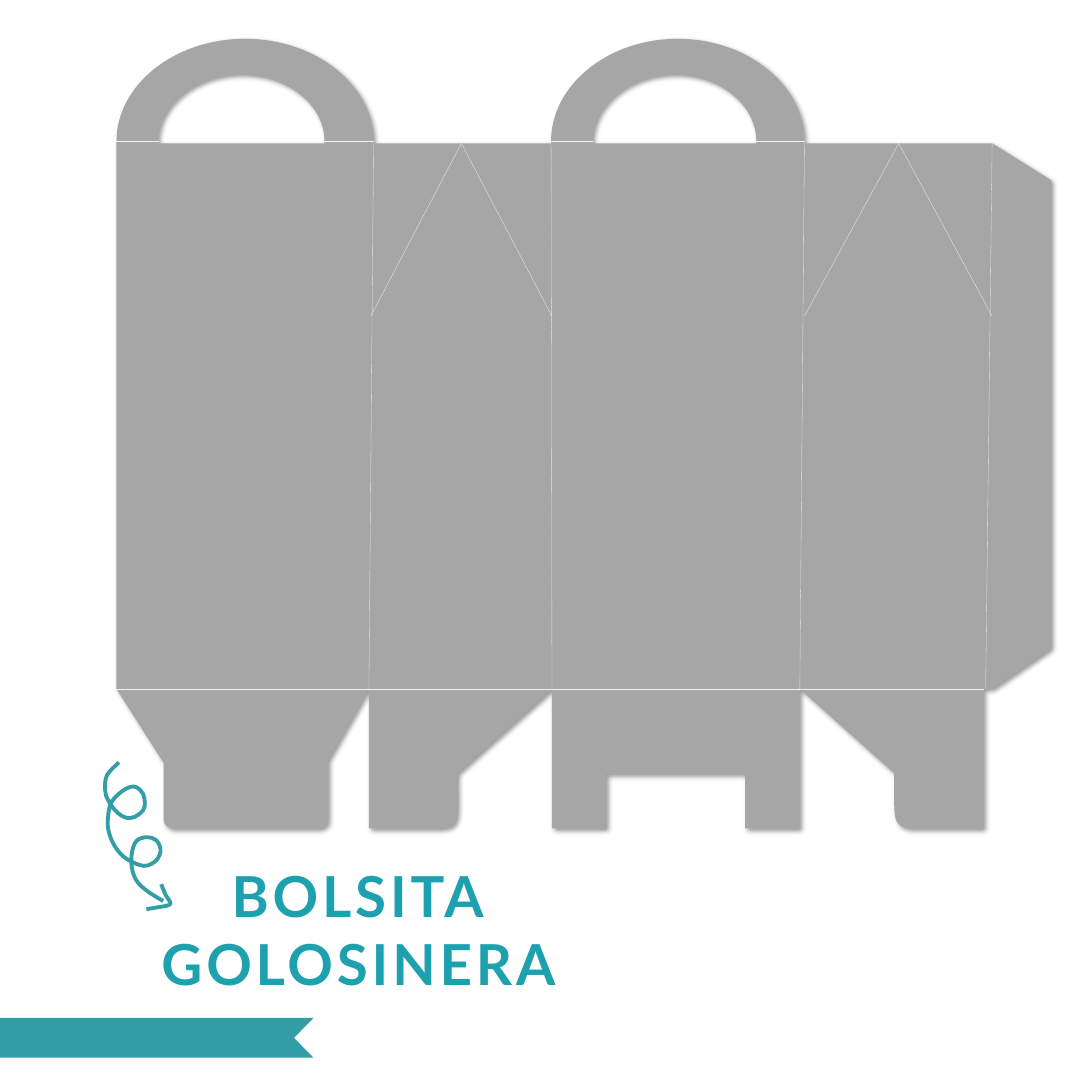
from dataclasses import dataclass
from math import cos, radians, sin

from pptx import Presentation
from pptx import util as u
from pptx.dml.color import RGBColor
from pptx.enum import dml, shapes, text
from pptx.oxml import parse_xml
from pptx.oxml.ns import nsdecls

Point = tuple[float, float]

CELL = u.Inches(1)  # the slide is a square grid of one-inch cells
SIDE = 11.81
TEAL, TITLE_TEAL, GRAY, FOLD_GRAY = "339EA6", "1EA1AE", "A6A6A6", "F2F2F2"

# Columns of the vertical folds and rows of the horizontal ones
LEFT, SIDE_1, BACK, SIDE_2, FLAP, FLAP_EDGE = 1.26, 4.04, 5.96, 8.7, 10.73, 11.37
SIDE_1_BASE, BACK_BASE, SIDE_2_BASE, END_BASE = 3.99, 5.97, 8.65, 10.64
HANDLE, TOP, PEAK_END, BASE, FOOT = 1.53, 1.55, 3.42, 7.45, 8.96
RIBBON_TOP, RIBBON_END = 11.01, 11.44
ROUND = 0.55  # share of the radius that makes a quarter ellipse
TILT = 52.9  # degrees the hand-drawn arrow is turned


@dataclass
class Curve:
    """A cubic curve: two control points and its end."""
    control_1: Point
    control_2: Point
    end: Point


@dataclass
class Handle:
    left: float
    inner_left: float
    inner_right: float
    right: float


@dataclass
class Fold:
    start: Point
    end: Point


Contour = list[Point | Curve]

HANDLES = [Handle(LEFT, 1.71, 3.51, SIDE_1), Handle(BACK, 6.41, 8.18, SIDE_2)]
PEAKS = [(4.99, 4.01, BACK_BASE), (9.72, SIDE_2, FLAP)]
FOLDS = [
    *[Fold((a, HANDLE), (b, HANDLE)) for h in HANDLES
      for a, b in ((h.left, h.inner_left), (h.inner_right, h.right))],
    *[Fold((a, TOP), (b, BASE)) for a, b in
      ((SIDE_1, SIDE_1_BASE), (BACK, BACK_BASE), (SIDE_2, SIDE_2_BASE), (FLAP, 10.66))],
    Fold((LEFT, BASE), (END_BASE, BASE)),
    *[Fold((peak, TOP), (end, PEAK_END)) for peak, *ends in PEAKS for end in ends],
]

CURL = [
    (1.28, 8.25), (1.15, 8.39), (1.13, 8.54), (1.14, 8.61), (1.2, 8.72), (1.27, 8.8),
    (1.36, 8.85), (1.45, 8.84), (1.54, 8.77), (1.56, 8.69), (1.54, 8.59), (1.47, 8.52),
    (1.39, 8.52), (1.28, 8.59), (1.19, 8.7), (1.16, 8.87), (1.17, 9), (1.23, 9.15),
    (1.33, 9.27), (1.45, 9.34), (1.55, 9.37), (1.63, 9.35), (1.7, 9.29), (1.73, 9.19),
    (1.68, 9.09), (1.58, 9.06), (1.47, 9.1), (1.42, 9.23), (1.42, 9.39), (1.47, 9.53),
    (1.57, 9.63), (1.69, 9.71), (1.76, 9.75),
]
ARROWHEAD = [(1.74, 9.56), (1.79, 9.68), (1.84, 9.76), (1.81, 9.79), (1.7, 9.81),
             (1.58, 9.83)]


def rgb(color: str) -> RGBColor:
    return RGBColor.from_string(color)


def pos(cells: float) -> int:
    return round(cells * CELL)


def arch(left: float, right: float, height: float) -> Contour:
    middle, crown = (left + right) / 2, HANDLE - height
    dx, shoulder = (right - left) / 2 * ROUND, HANDLE - height * ROUND
    return [(left, HANDLE), Curve((left, shoulder), (middle - dx, crown), (middle, crown)),
            Curve((middle + dx, crown), (right, shoulder), (right, HANDLE))]


def smooth(knots: list[Point]) -> Contour:
    """Return a Catmull-Rom curve through the knots."""
    ends = [knots[0], *knots, knots[-1]]
    curve: Contour = [knots[0]]
    for before, a, d, after in zip(ends, ends[1:], ends[2:], ends[3:]):
        b = (a[0] + (d[0] - before[0]) / 6, a[1] + (d[1] - before[1]) / 6)
        c = (d[0] - (after[0] - a[0]) / 6, d[1] - (after[1] - a[1]) / 6)
        curve.append(Curve(b, c, d))
    return curve


def turn(points: list[Point], center: Point, degrees: float) -> list[Point]:
    c, s = cos(radians(degrees)), sin(radians(degrees))
    offsets = [(x - center[0], y - center[1]) for x, y in points]
    return [(center[0] + x * c - y * s, center[1] + x * s + y * c) for x, y in offsets]


def add_outline(slide, contours: list[Contour], closed: bool = True):
    """Draw lines through all points, then bend those that belong to curves."""
    builder = None
    for contour in contours:
        points = [q for step in contour for q in (
            (step.control_1, step.control_2, step.end) if isinstance(step, Curve)
            else (step,))]
        first, *rest = [(pos(x), pos(y)) for x, y in points]
        if builder is None:
            builder = slide.shapes.build_freeform(*first, scale=1.0)
        else:
            builder.move_to(*first)
        builder.add_line_segments(rest, close=closed)
    sp = builder.convert_to_shape()
    sp.shadow.inherit = False
    lines = iter(list(sp._element.iter("{*}lnTo")))
    for step in (step for contour in contours for step in contour[1:]):
        line = next(lines)
        if isinstance(step, Curve):
            cubic = parse_xml(f"<a:cubicBezTo {nsdecls('a')}/>")
            line.addprevious(cubic)
            for part in (line, next(lines), next(lines)):
                cubic.append(part[0])
                part.getparent().remove(part)
    return sp


def add_filled(slide, contours: list[Contour], color: str):
    sp = add_outline(slide, contours)
    sp.fill.solid()
    sp.fill.fore_color.rgb = rgb(color)
    sp.line.fill.background()
    return sp


def add_stroke(slide, knots: list[Point], center: Point) -> None:
    sp = add_outline(slide, [smooth(turn(knots, center, -TILT))], closed=False)
    sp.rotation = TILT
    sp.fill.background()
    sp.line.color.rgb = rgb(TEAL)
    sp.line.width = u.Pt(3)


def add_fold(slide, fold: Fold) -> None:
    line = slide.shapes.add_connector(
        shapes.MSO_CONNECTOR.STRAIGHT, *map(pos, fold.start + fold.end))
    line.line.color.rgb = rgb(FOLD_GRAY)
    line.line.width = u.Pt(0.25)
    line.line.dash_style = dml.MSO_LINE.ROUND_DOT
    line._element.spPr.append(parse_xml(f"<a:effectLst {nsdecls('a')}/>"))


def add_title(slide) -> None:
    sp = slide.shapes.add_textbox(*map(pos, (1.49, 9.26, 4.78, 0.84)))
    tf = sp.text_frame
    tf.word_wrap = True
    tf.auto_size = text.MSO_AUTO_SIZE.SHAPE_TO_FIT_TEXT
    p = tf.paragraphs[0]
    p.alignment = text.PP_ALIGN.CENTER
    r = p.add_run()
    r.text = "BOLSITA GOLOSINERA"
    for name, value in {"name": "Lato", "size": u.Pt(44), "bold": True}.items():
        setattr(r.font, name, value)
    r.font.color.rgb = rgb(TITLE_TEAL)
    r._r.get_or_add_rPr().set("spc", "300")


def add_bag(slide) -> None:
    front, back = [arch(h.left, h.right, 1.11) for h in HANDLES]
    holes = [[(h.inner_left, TOP), *arch(h.inner_left, h.inner_right, 0.72),
              (h.inner_right, TOP)] for h in HANDLES]
    outline = [
        (LEFT, BASE), *front, (SIDE_1, TOP), (BACK, TOP), *back, (SIDE_2, TOP),
        (FLAP, TOP), (FLAP_EDGE, 1.95), (FLAP_EDGE, 7.01), (FLAP, BASE), (END_BASE, BASE),
        (END_BASE, FOOT), (9.9, FOOT), Curve((9.62, FOOT), (9.68, 8.84), (9.67, 8.36)),
        (SIDE_2_BASE, BASE), (SIDE_2_BASE, FOOT), (8.06, FOOT), (8.06, 8.37),
        (6.56, 8.37), (6.56, FOOT), (BACK_BASE, FOOT), (BACK_BASE, BASE),
        (4.95, 8.36), Curve((4.94, 8.84), (5.01, FOOT), (4.72, FOOT)),
        (SIDE_1_BASE, FOOT), (SIDE_1_BASE, BASE), (3.55, 8.22),
        (3.55, 8.87), Curve((3.55, 8.92), (3.5, FOOT), (3.43, FOOT)),
        (1.89, FOOT), Curve((1.82, FOOT), (1.77, 8.92), (1.77, 8.87)), (1.77, 8.25),
    ]
    sp = add_filled(slide, [*holes, outline], GRAY)
    sp._element.spPr.find("{*}effectLst").append(parse_xml(
        f'<a:outerShdw {nsdecls("a")} blurRad="{u.Pt(4)}" dist="{u.Pt(3)}" dir="2700000" '
        'algn="tl" rotWithShape="0"><a:srgbClr val="000000"><a:alpha val="40000"/>'
        "</a:srgbClr></a:outerShdw>"))


def main() -> None:
    prs = Presentation()
    prs.slide_width = prs.slide_height = pos(SIDE)
    slide = prs.slides.add_slide(prs.slide_layouts[6])
    add_title(slide)
    add_stroke(slide, CURL, (1.48, 9.02))
    add_stroke(slide, ARROWHEAD, (1.7, 9.74))
    add_bag(slide)
    for fold in FOLDS:
        add_fold(slide, fold)
    notch = (3.18, (RIBBON_TOP + RIBBON_END) / 2)
    add_filled(slide, [[(3.39, RIBBON_TOP), (0, RIBBON_TOP), (0, RIBBON_END),
                        (3.39, RIBBON_END), notch]], TEAL)
    prs.save("out.pptx")


if __name__ == "__main__":
    main()
